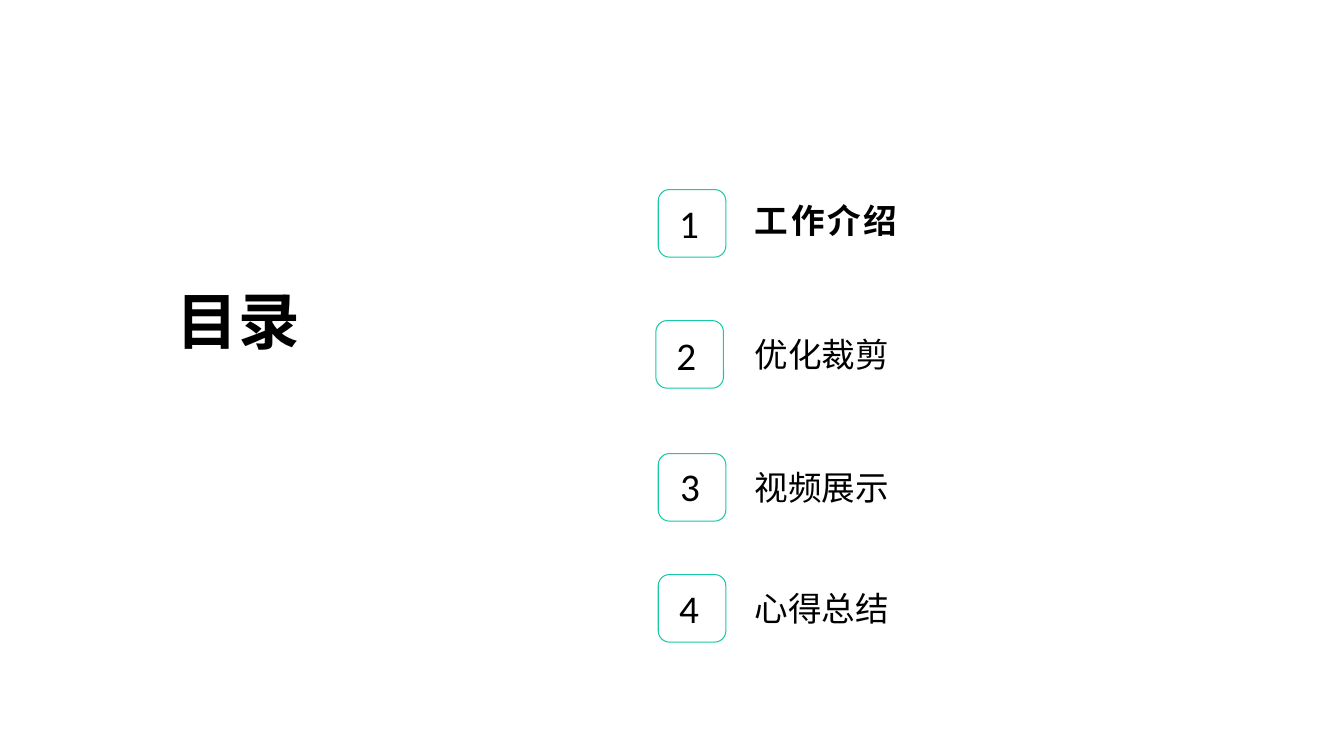
from pptx import Presentation
from pptx.dml.color import RGBColor
from pptx.enum import shapes, text
from pptx.oxml import ns
from pptx.util import Pt
from lxml import etree

COLORS = {"text": "000000", "outline": "1BC8A5"}
LATIN, CHINESE = "Calibri", "Noto Sans CJK SC"

presentation = Presentation()
presentation.slide_width, presentation.slide_height = Pt(960), Pt(540)
slide = presentation.slides.add_slide(presentation.slide_layouts[6])


def add_text(words, left, top, width, height, size, font=LATIN, bold=False,
             wrap=True, align=text.PP_ALIGN.LEFT, spacing=0):
    box = slide.shapes.add_textbox(Pt(left), Pt(top), Pt(width), Pt(height))
    frame = box.text_frame
    frame.word_wrap = wrap
    frame.auto_size = text.MSO_AUTO_SIZE.SHAPE_TO_FIT_TEXT
    paragraph = frame.paragraphs[0]
    paragraph.alignment = align
    run = paragraph.add_run()
    run.text = words
    run.font.name = font
    run.font.size = Pt(size)
    run.font.bold = bold
    run.font.color.rgb = RGBColor.from_string(COLORS["text"])
    # East Asian font and letter spacing
    properties = run.font._element
    etree.SubElement(properties, ns.qn("a:ea"), typeface=CHINESE)
    if spacing:
        properties.set("spc", str(spacing * 100))


# Title
add_text("目录", 49, 198.7, 242.6, 60.5, 44, CHINESE, True,
         align=text.PP_ALIGN.CENTER)

# Agenda: label, label top, label width, number left, number top, frame left, frame top
agenda = [
    ("工作介绍", 139, 191.5, 478, 139, 470.2, 135.4),
    ("优化裁剪", 234.7, 229.7, 476, 233.3, 468.5, 229),
    ("视频展示", 329.8, 191.5, 478.8, 326.9, 470.2, 324),
    ("心得总结", 416.2, 242, 478, 414, 470.2, 410.4),
]
for number, (label, label_top, label_width, number_left, number_top,
             frame_left, frame_top) in enumerate(agenda, start=1):
    current = number == 1
    add_text(str(number), number_left, number_top, 32.4, 41, 28, wrap=False)
    add_text(label, 532, label_top, label_width, 36, 24,
             font=CHINESE if current else LATIN, bold=current,
             spacing=2 if current else 0)

    # Rounded frame around the number
    shape = slide.shapes.add_shape(shapes.MSO_SHAPE.ROUNDED_RECTANGLE,
                                   Pt(frame_left), Pt(frame_top), Pt(48.3), Pt(48.3))
    shape.shadow.inherit = False
    shape.fill.background()
    shape.line.color.rgb = RGBColor.from_string(COLORS["outline"])
    shape.line.width = Pt(0.75)

presentation.save("out.pptx")
